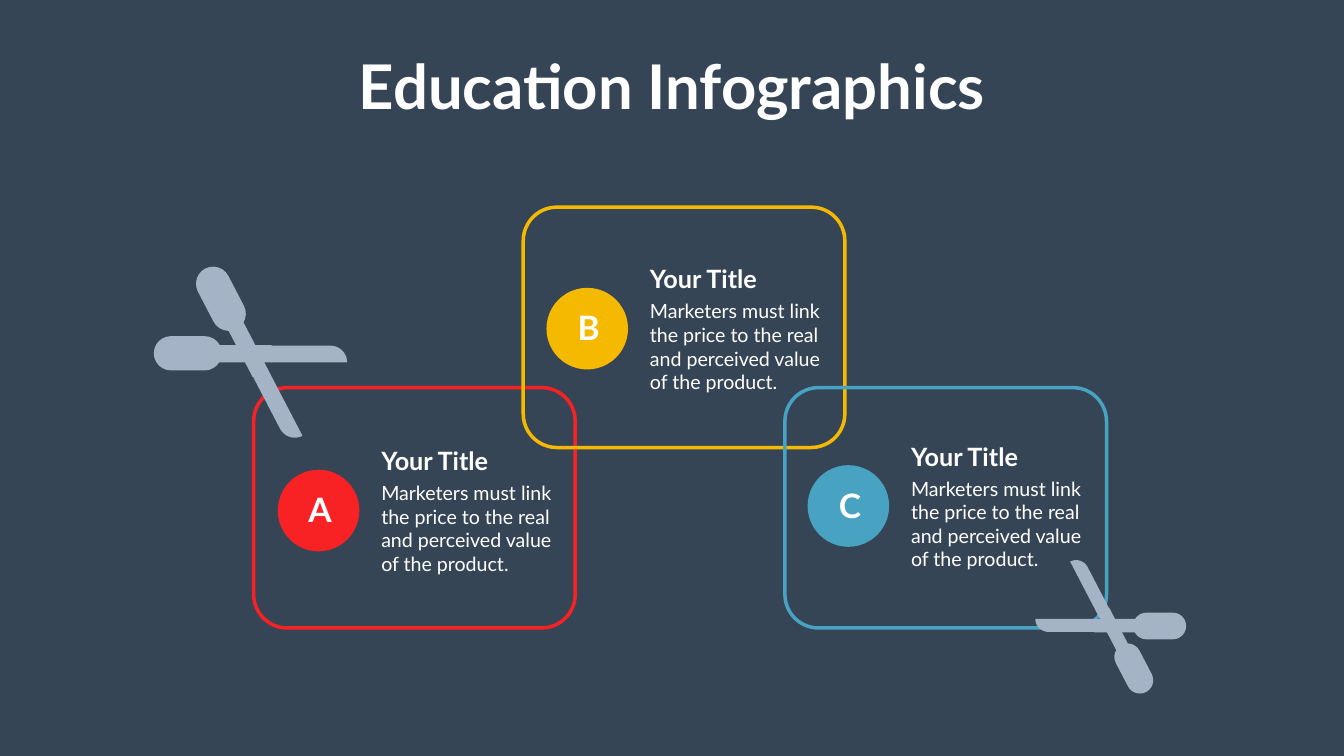
import math
from dataclasses import dataclass

from pptx import Presentation
from pptx import util as u
from pptx.dml.color import RGBColor
from pptx.enum import shapes, text

W, H = u.Inches(26.66), u.Inches(15)
COL, ROW = W / 100, H / 100


@dataclass(frozen=True)
class Theme:
    font: str = "Lato"
    background: str = "364556"
    ink: str = "FFFFFF"
    scissors: str = "A4B4C6"
    red: str = "F82225"
    yellow: str = "F5BA00"
    blue: str = "48A3C2"
    headline: int = 88
    letter: int = 48
    title: int = 36
    body: int = 28
    outline: int = 5


T = Theme()
BODY = "Marketers must link the price to the real and perceived value of the product."
CARDS = [
    ("A", T.red, (18.87, 51.27), (20.67, 62.13)),
    ("B", T.yellow, (38.93, 27.4), (40.66, 38.07)),
    ("C", T.blue, (58.4, 51.27), (60.09, 61.53)),
]


def grid(x, y, w, h):
    return [round(v) for v in (x * COL, y * ROW, w * COL, h * ROW)]


def paint(sp, color):
    sp.shadow.inherit = False
    sp.fill.solid()
    sp.fill.fore_color.rgb = RGBColor.from_string(color)
    sp.line.fill.background()


def add_text(s, box, words, size, bold=True, align=text.PP_ALIGN.LEFT, wrap=True):
    tf = s.shapes.add_textbox(*grid(*box)).text_frame
    tf.word_wrap = wrap
    tf.auto_size = text.MSO_AUTO_SIZE.SHAPE_TO_FIT_TEXT
    tf.text = words
    p = tf.paragraphs[0]
    p.alignment = align
    f = p.runs[0].font
    f.name, f.size, f.bold = T.font, u.Pt(size), bold
    f.color.rgb = RGBColor.from_string(T.ink)


def add_frame(s, corner, color):
    sp = s.shapes.add_shape(shapes.MSO_SHAPE.ROUNDED_RECTANGLE, *grid(*corner, 23.93, 31.8))
    sp.adjustments[0] = 0.14
    sp.shadow.inherit = False
    sp.fill.background()
    sp.line.color.rgb = RGBColor.from_string(color)
    sp.line.width = u.Pt(T.outline)


def add_label(s, letter, color, x, y):
    sp = s.shapes.add_shape(shapes.MSO_SHAPE.OVAL, *grid(x, y, 6.07, 10.8))
    paint(sp, color)
    add_text(s, (x + 7.33, y + 1.2, 14.25, 13.27), BODY, T.body, bold=False)
    add_text(s, (x + 7.33, y - 3.53, 13.39, 4.73), "Your Title", T.title)
    add_text(s, (x + 0.32, y + 2.22, 5.66, 6.07), letter, T.letter, align=text.PP_ALIGN.CENTER)


def add_arm(s, pivot, unit, angle, side):
    cos, sin = math.cos(math.radians(angle)), math.sin(math.radians(angle))

    def place(x, y):
        y *= side
        return (round(pivot[0] * COL + unit * (x * cos - y * sin)),
                round(pivot[1] * ROW + unit * (x * sin + y * cos)))

    def add_bar(kind, x, y, length, thickness):
        cx, cy = place(x, y)
        w, h = round(length * unit), round(thickness * unit)
        sp = s.shapes.add_shape(kind, cx - w // 2, cy - h // 2, w, h)
        sp.rotation = angle
        paint(sp, T.scissors)
        return sp

    arc = [math.radians(a) for a in range(0, 91, 6)]
    curve = [place(1.61 + 0.33 * math.cos(a), 0.18 - 0.33 * math.sin(a)) for a in arc]
    fb = s.shapes.build_freeform(*place(0.43, 0.18))
    fb.add_line_segments(curve + [place(0.43, -0.15)], close=True)
    paint(fb.convert_to_shape(), T.scissors)
    add_bar(shapes.MSO_SHAPE.RECTANGLE, -0.09, 0.01, 1.07, 0.34)
    handle = add_bar(shapes.MSO_SHAPE.ROUNDED_RECTANGLE, -1.22, 0, 1.35, 0.68)
    handle.adjustments[0] = 0.5


def add_scissors(s, pivot, scale, turn):
    for angle, side in ((0, 1), (62.5, -1)):
        add_arm(s, pivot, u.Inches(scale), turn + angle, side)


def main():
    prs = Presentation()
    prs.slide_width, prs.slide_height = W, H
    s = prs.slides.add_slide(prs.slide_layouts[6])
    s.background.fill.solid()
    s.background.fill.fore_color.rgb = RGBColor.from_string(T.background)
    add_text(s, (25.81, 6.07, 48.35, 10.53), "Education Infographics", T.headline,
             align=text.PP_ALIGN.CENTER, wrap=False)
    for _, color, corner, _ in CARDS:
        add_frame(s, corner, color)
    add_scissors(s, (82.71, 82.8), 0.78, 180)
    add_scissors(s, (18.55, 46.73), 1, 0)
    for letter, color, _, spot in CARDS:
        add_label(s, letter, color, *spot)
    prs.save("out.pptx")


if __name__ == "__main__":
    main()
